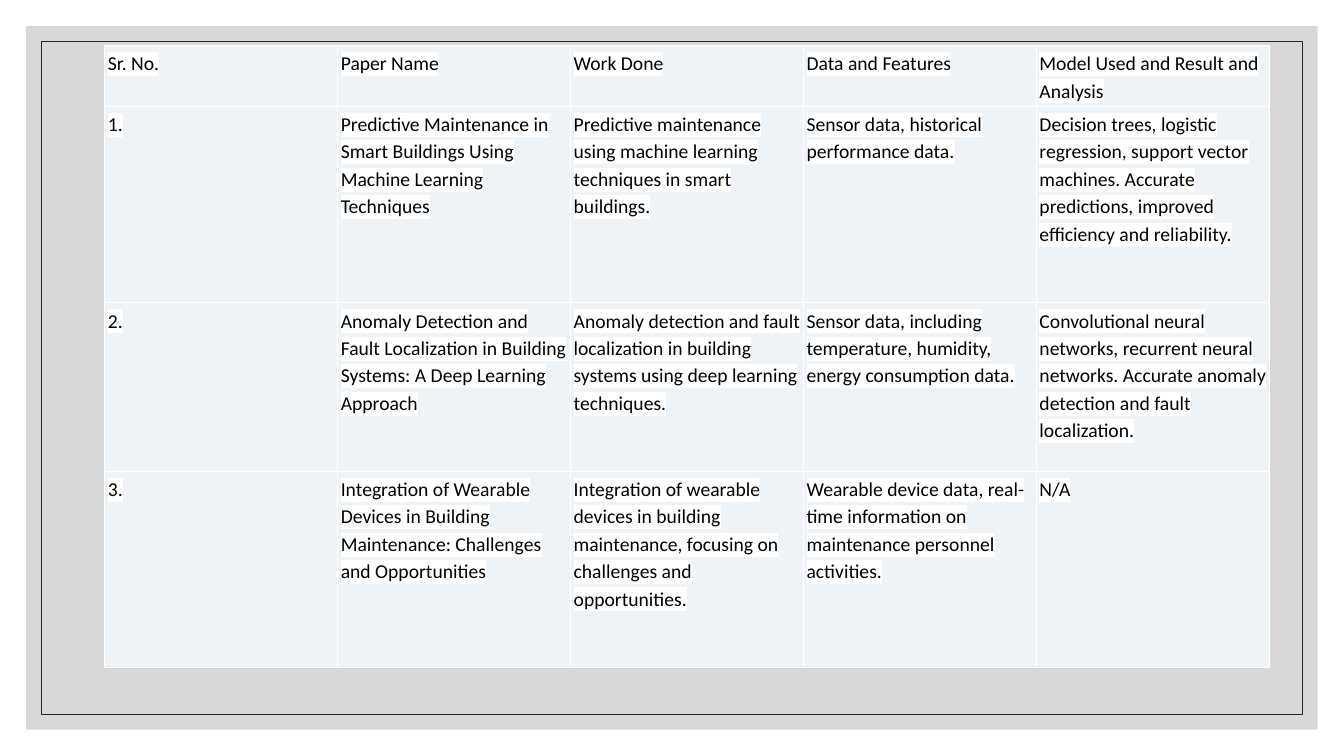
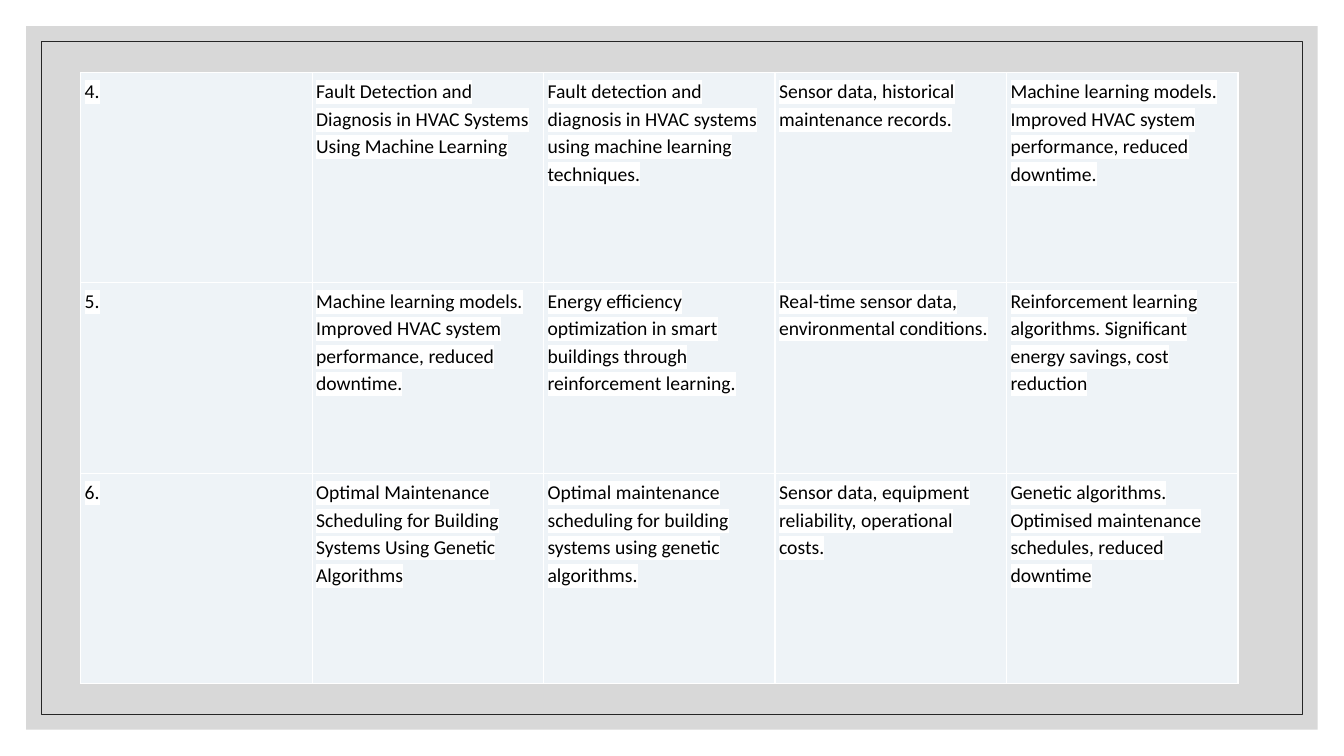
from dataclasses import dataclass

from lxml import etree
from pptx import Presentation
from pptx.dml.color import RGBColor
from pptx.enum.shapes import MSO_SHAPE
from pptx.oxml.ns import qn
from pptx.util import Inches, Pt

RECT = MSO_SHAPE.RECTANGLE
BLANK = 6


@dataclass(frozen=True)
class Theme:
    width: float = 13.33
    height: float = 7.5
    band: str = "BFBFBF"
    band_alpha: int = 60
    frame: str = "262626"
    frame_width: float = 0.5
    cell: str = "EEF3F7"
    border: str = "FFFFFF"
    border_width: float = 1
    highlight: str = "FFFFFF"
    text: str = "000000"
    font: str = "Calibri"
    size: float = 14
    spacing: float = 1.15


THEME = Theme()

PAPERS_1 = [
    ["Sr. No.", "Paper Name", "Work Done", "Data and Features",
     "Model Used and Result and Analysis"],
    ["1.",
     "Predictive Maintenance in Smart Buildings Using Machine Learning Techniques",
     "Predictive maintenance using machine learning techniques in smart buildings.",
     "Sensor data, historical performance data.",
     "Decision trees, logistic regression, support vector machines. "
     "Accurate predictions, improved efficiency and reliability."],
    ["2.",
     "Anomaly Detection and Fault Localization in Building Systems: "
     "A Deep Learning Approach",
     "Anomaly detection and fault localization in building systems "
     "using deep learning techniques.",
     "Sensor data, including temperature, humidity, energy consumption data.",
     "Convolutional neural networks, recurrent neural networks. "
     "Accurate anomaly detection and fault localization."],
    ["3.",
     "Integration of Wearable Devices in Building Maintenance: "
     "Challenges and Opportunities",
     "Integration of wearable devices in building maintenance, "
     "focusing on challenges and opportunities.",
     "Wearable device data, real-time information on maintenance "
     "personnel activities.",
     "N/A"],
]

PAPERS_2 = [
    ["4.",
     "Fault Detection and Diagnosis in HVAC Systems Using Machine Learning",
     "Fault detection and diagnosis in HVAC systems using machine learning techniques.",
     "Sensor data, historical maintenance records.",
     "Machine learning models. Improved HVAC system performance, reduced downtime."],
    ["5.",
     "Machine learning models. Improved HVAC system performance, reduced downtime.",
     "Energy efficiency optimization in smart buildings through reinforcement learning.",
     "Real-time sensor data, environmental conditions.",
     "Reinforcement learning algorithms. Significant energy savings, cost reduction"],
    ["6.",
     "Optimal Maintenance Scheduling for Building Systems Using Genetic Algorithms",
     "Optimal maintenance scheduling for building systems using genetic algorithms.",
     "Sensor data, equipment reliability, operational costs.",
     "Genetic algorithms. Optimised maintenance schedules, reduced downtime"],
]

TABLES = [
    {"rows": PAPERS_1, "box": (1.04, 0.45, 11.55),
     "heights": (0.58, 1.95, 1.67, 1.95), "inset": 0.03},
    {"rows": PAPERS_2, "box": (0.8, 0.72, 11.48),
     "heights": (2.08, 1.9, 2.08), "inset": 0.04},
]


def rgb(color):
    return RGBColor.from_string(color)


def add_color(parent, tag, color):
    el = etree.SubElement(parent, qn(tag))
    etree.SubElement(el, qn("a:srgbClr"), val=color)
    return el


def inset_rect(slide, margin):
    sp = slide.shapes.add_shape(
        RECT, Inches(margin), Inches(margin),
        Inches(THEME.width - 2 * margin), Inches(THEME.height - 2 * margin))
    sp.shadow.inherit = False
    return sp


def add_frame(slide, layout):
    band = inset_rect(slide, 0.26)
    band.fill.solid()
    band.fill.fore_color.rgb = rgb(THEME.band)
    band.line.fill.background()
    color = band.element.spPr.find(qn("a:solidFill")).find(qn("a:srgbClr"))
    etree.SubElement(color, qn("a:alpha"), val=str(THEME.band_alpha * 1000))

    frame = inset_rect(slide, 0.41)
    frame.fill.background()
    frame.line.color.rgb = rgb(THEME.frame)
    frame.line.width = Pt(THEME.frame_width)

    for sp in (band, frame):
        layout.element.cSld.spTree.append(sp.element)


def format_cell(cell, text, inset):
    for side in ("left", "top", "right", "bottom"):
        setattr(cell, f"margin_{side}", Inches(inset))
    tc_pr = cell._tc.get_or_add_tcPr()
    for tag in ("a:lnL", "a:lnR", "a:lnT", "a:lnB"):
        ln = etree.SubElement(tc_pr, qn(tag), w=str(Pt(THEME.border_width)))
        add_color(ln, "a:solidFill", THEME.border)
    cell.fill.solid()
    cell.fill.fore_color.rgb = rgb(THEME.cell)

    p = cell.text_frame.paragraphs[0]
    p.line_spacing = THEME.spacing
    r = p.add_run()
    r.text = text
    r.font.color.rgb = rgb(THEME.text)
    add_color(r.font._element, "a:highlight", THEME.highlight)
    for name, value in {"size": Pt(THEME.size), "name": THEME.font}.items():
        setattr(r.font, name, value)


def add_papers(slide, rows, box, heights, inset):
    left, top, width = box
    table = slide.shapes.add_table(
        len(rows), len(rows[0]), Inches(left), Inches(top),
        Inches(width), Inches(sum(heights))).table
    table.first_row = table.horz_banding = False
    for row, height, texts in zip(table.rows, heights, rows):
        row.height = Inches(height)
        for cell, text in zip(row.cells, texts):
            format_cell(cell, text, inset)


def main():
    prs = Presentation()
    prs.slide_width = Inches(THEME.width)
    prs.slide_height = Inches(THEME.height)
    layout = prs.slide_layouts[BLANK]
    slides = [prs.slides.add_slide(layout) for _ in TABLES]
    add_frame(slides[0], layout)
    for slide, papers in zip(slides, TABLES):
        add_papers(slide, **papers)
    prs.save("out.pptx")


if __name__ == "__main__":
    main()
